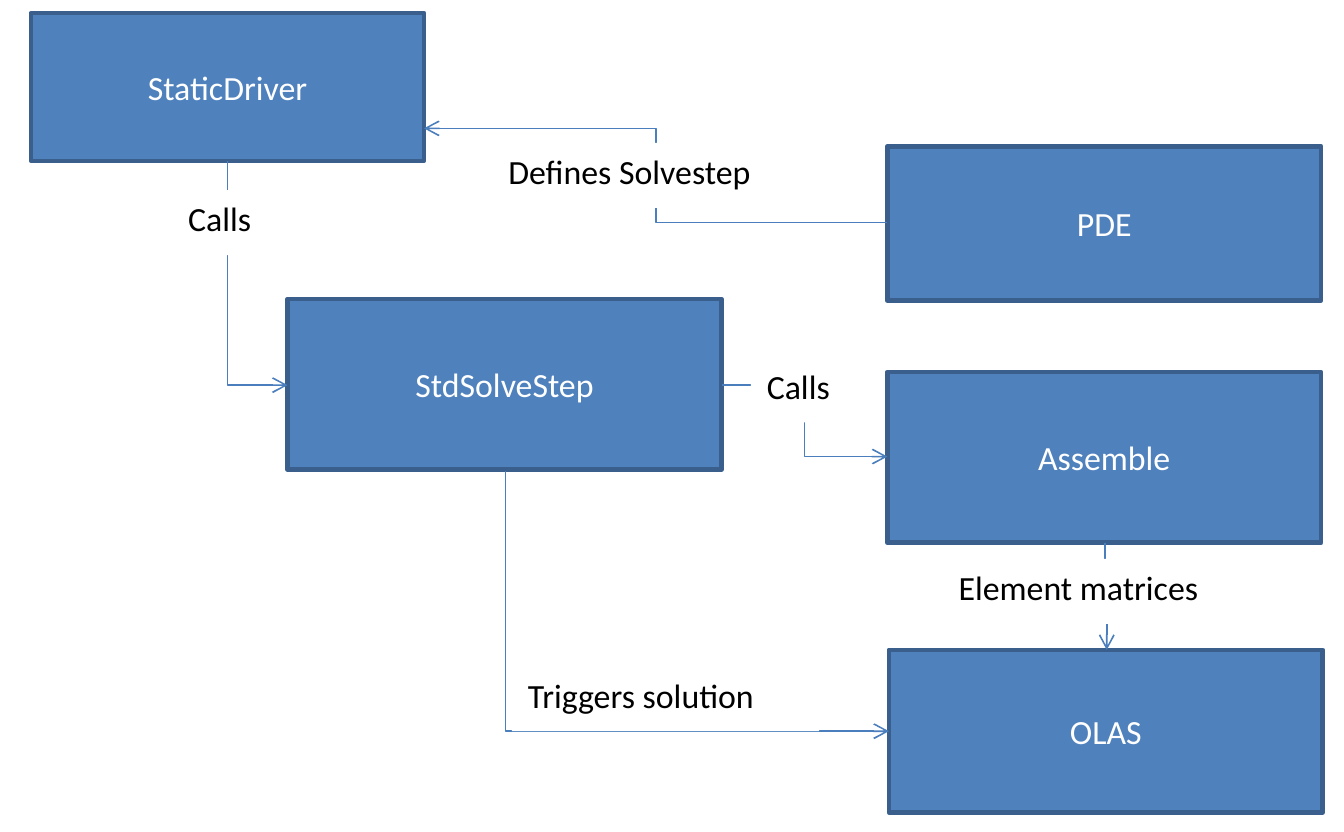
from dataclasses import dataclass

from lxml import etree
from pptx import Presentation
from pptx.dml.color import RGBColor
from pptx.enum.shapes import MSO_CONNECTOR, MSO_SHAPE
from pptx.enum.text import MSO_ANCHOR, MSO_AUTO_SIZE, PP_ALIGN
from pptx.oxml.ns import qn
from pptx.util import Inches, Pt

RECTANGLE = MSO_SHAPE.RECTANGLE
ELBOW = MSO_CONNECTOR.ELBOW
CENTER, LEFT = PP_ALIGN.CENTER, PP_ALIGN.LEFT
MIDDLE, TOP = MSO_ANCHOR.MIDDLE, MSO_ANCHOR.TOP


@dataclass(frozen=True)
class Theme:
    font: str = "Calibri"
    text_size: Pt = Pt(15)
    box_fill: RGBColor = RGBColor(0x4F, 0x81, 0xBD)
    box_line: RGBColor = RGBColor(0x3A, 0x5F, 0x8C)
    arrow: RGBColor = RGBColor(0x4B, 0x7E, 0xBC)
    white: RGBColor = RGBColor(0xFF, 0xFF, 0xFF)
    black: RGBColor = RGBColor(0, 0, 0)
    box_line_width: Pt = Pt(2)
    arrow_width: Pt = Pt(0.75)


THEME = Theme()
LABEL_HEIGHT = 0.4

# Components: text, left, top, width, height
BOXES = [
    ("StaticDriver", 0.19, 0.08, 2.42, 0.91),
    ("PDE", 5.46, 0.9, 2.67, 0.95),
    ("StdSolveStep", 1.77, 1.84, 2.67, 1.05),
    ("Assemble", 5.46, 2.29, 2.67, 1.05),
    ("OLAS", 5.47, 4, 2.67, 1),
]

# Arrows that leave a box sideways: start, end
SIDEWAYS_ARROWS = [
    ((5.46, 1.37), (2.61, 0.79)),
    ((4.44, 2.37), (5.46, 2.81)),
]

# Arrows that leave a box downwards: start, end, preset
DOWNWARD_ARROWS = [
    ((1.4, 0.99), (1.77, 2.37), "bentConnector2"),
    ((6.8, 3.34), (6.81, 4), "bentConnector3"),
    ((3.11, 2.9), (5.47, 4.5), "bentConnector2"),
]

# Arrow labels: text, left, top, width
LABELS = [
    ("Defines Solvestep", 3.03, 0.88, 2.01),
    ("Calls", 1.06, 1.17, 0.67),
    ("Element matrices", 5.8, 3.44, 1.99),
    ("Calls", 4.62, 2.2, 0.67),
    ("Triggers solution", 3.15, 4.1, 1.89),
]


def add_panel(slide, text, bounds, fill, color, alignment, anchor):
    """Add a filled rectangle holding one line of text."""
    shape = slide.shapes.add_shape(RECTANGLE, *map(Inches, bounds))
    shape.shadow.inherit = False
    shape.fill.solid()
    shape.fill.fore_color.rgb = fill
    frame = shape.text_frame
    frame.word_wrap = True
    frame.auto_size = MSO_AUTO_SIZE.NONE
    frame.vertical_anchor = anchor
    paragraph = frame.paragraphs[0]
    paragraph.alignment = alignment
    run = paragraph.add_run()
    run.text = text
    run.font.name = THEME.font
    run.font.size = THEME.text_size
    run.font.color.rgb = color
    return shape


def add_box(slide, text, *bounds):
    shape = add_panel(slide, text, bounds, THEME.box_fill, THEME.white, CENTER, MIDDLE)
    shape.line.color.rgb = THEME.box_line
    shape.line.width = THEME.box_line_width


def add_label(slide, text, left, top, width):
    bounds = (left, top, width, LABEL_HEIGHT)
    shape = add_panel(slide, text, bounds, THEME.white, THEME.black, LEFT, TOP)
    shape.line.fill.background()


def add_arrow(slide, start, end):
    """Add an elbow arrow that starts and ends horizontally."""
    connector = slide.shapes.add_connector(ELBOW, *map(Inches, (*start, *end)))
    connector.line.color.rgb = THEME.arrow
    connector.line.width = THEME.arrow_width
    properties = connector._element.spPr
    head = etree.SubElement(properties.find(qn("a:ln")), qn("a:tailEnd"))
    head.set("type", "arrow")
    etree.SubElement(properties, qn("a:effectLst"))
    return connector


def add_downward_arrow(slide, start, end, preset):
    """Add an elbow arrow that starts downwards, as a turned and flipped frame."""
    center_x, center_y = ((a + b) / 2 for a, b in zip(start, end))
    half_x, half_y = ((b - a) / 2 for a, b in zip(start, end))
    turned_start = (center_x - half_y, center_y - half_x)
    turned_end = (center_x + half_y, center_y + half_x)
    properties = add_arrow(slide, turned_start, turned_end)._element.spPr
    frame = properties.find(qn("a:xfrm"))
    frame.set("rot", str(270 * 60000))
    frame.set("flipH", "1")
    properties.find(qn("a:prstGeom")).set("prst", preset)


def main():
    presentation = Presentation()
    presentation.slide_width = Inches(8.27)
    presentation.slide_height = Inches(5.12)
    slide = presentation.slides.add_slide(presentation.slide_layouts[6])

    # Components
    for box in BOXES:
        add_box(slide, *box)

    # Arrows between components
    for arrow in SIDEWAYS_ARROWS:
        add_arrow(slide, *arrow)
    for arrow in DOWNWARD_ARROWS:
        add_downward_arrow(slide, *arrow)

    # Labels over the arrows
    for label in LABELS:
        add_label(slide, *label)

    presentation.save("out.pptx")


if __name__ == "__main__":
    main()
